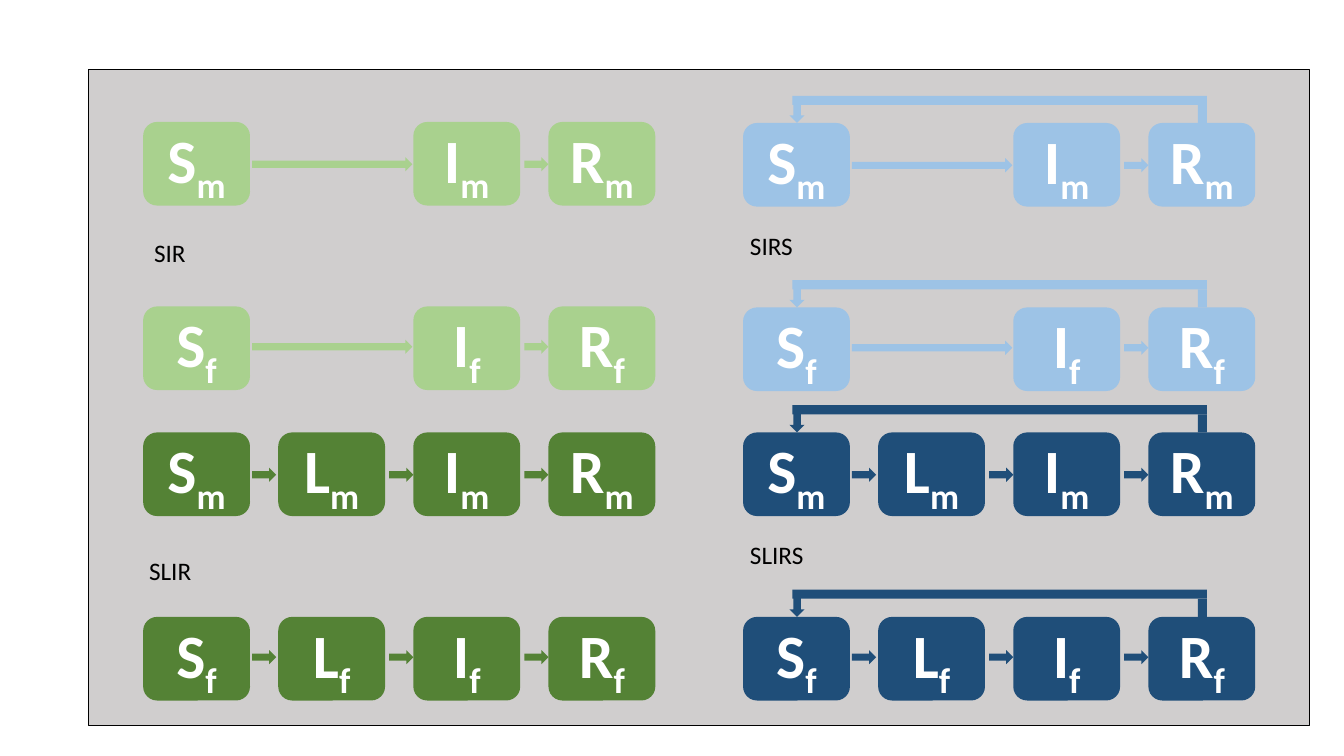
from pptx import Presentation
from pptx.dml.color import RGBColor
from pptx.enum import shapes as s, text as t
from pptx.util import Inches, Pt

GREY = RGBColor(0xD0, 0xCE, 0xCE)
BLACK = RGBColor(0, 0, 0)
WHITE = RGBColor(0xFF, 0xFF, 0xFF)
NAVY = RGBColor(0x1F, 0x4E, 0x79)
SKY = RGBColor(0x9D, 0xC3, 0xE6)
GREEN = RGBColor(0x54, 0x82, 0x35)
LIME = RGBColor(0xA9, 0xD1, 0x8E)

STAGES = "SLIR"
STEP = 1.34  # from one stage to the next
DROP = 1.83  # from the m chain to the f chain
BOX_W, BOX_H = 1.06, 0.83
BAR = 0.09
KIND = s.MSO_SHAPE


def add_block(group, kind, left, top, width, height, fill):
    """Add a filled shape without outline or shadow."""
    block = group.shapes.add_shape(
        kind, Inches(left), Inches(top), Inches(width), Inches(height))
    block.shadow.inherit = False
    block.fill.solid()
    block.fill.fore_color.rgb = fill
    block.line.fill.background()
    return block


def add_run(para, words, size, color, bold=False):
    """Add one run of formatted text."""
    run = para.add_run()
    run.text = words
    run.font.name = "Calibri"
    run.font.size = Pt(size)
    run.font.bold = bold
    run.font.color.rgb = color
    return run


def add_stage(group, name, sub, left, top, fill):
    """Add a rounded box with a letter and its subscript."""
    box = add_block(group, KIND.ROUNDED_RECTANGLE, left, top, BOX_W, BOX_H, fill)
    box.text_frame.vertical_anchor = t.MSO_ANCHOR.MIDDLE
    para = box.text_frame.paragraphs[0]
    para.alignment = t.PP_ALIGN.CENTER
    add_run(para, name, 44, WHITE, True)
    low = add_run(para, sub, 44, WHITE, True)
    low.font._element.set("baseline", "-25000")


def add_loop(group, left, top, fill):
    """Add the path that leads from R back to S."""
    head = add_block(group, KIND.RIGHT_ARROW, left + 0.42, top - 0.19, 0.23, 0.15, fill)
    head.rotation = 90
    add_block(group, KIND.RECTANGLE, left + 0.49, top - 0.27, 4.11, BAR, fill)
    add_block(group, KIND.RECTANGLE, left + 4.51, top - 0.18, BAR, 0.18, fill)


def add_chain(group, names, sub, left, top, rise, fill):
    """Add a row of stages joined by arrows."""
    slots = [STAGES.index(name) for name in names]
    for name, slot in zip(names, slots):
        add_stage(group, name, sub, left + slot * STEP, top, fill)
    for slot, after in zip(slots, slots[1:]):
        gap = 1.1 if slot else 1.08
        width = 0.24 + (after - slot - 1) * 1.35
        add_block(group, KIND.RIGHT_ARROW, left + slot * STEP + gap,
                  top + rise, width, 0.14, fill)


def add_model(group, names, left, top, fill):
    """Add the m and f chains of a model, with loops if it ends in S."""
    loop = names.endswith("RS")
    for row, (sub, rise) in enumerate((("m", 0.35), ("f", 0.33))):
        level = top + row * DROP
        add_chain(group, names[:-1] if loop else names, sub, left, level, rise, fill)
        if loop:
            add_loop(group, left, level, fill)


def add_label(slide, words, left, top, width):
    """Add the name of a model."""
    label = slide.shapes.add_textbox(
        Inches(left), Inches(top), Inches(width), Inches(0.4))
    frame = label.text_frame
    frame.word_wrap = False
    frame.auto_size = t.MSO_AUTO_SIZE.SHAPE_TO_FIT_TEXT
    add_run(frame.paragraphs[0], words, 18, BLACK)


def main():
    """Build the slide with the four models."""
    deck = Presentation()
    deck.slide_width, deck.slide_height = Inches(13.33), Inches(7.5)
    slide = deck.slides.add_slide(deck.slide_layouts[6])
    group = slide.shapes.add_group_shape()
    panel = add_block(group, KIND.RECTANGLE, 0.88, 0.69, 12.11, 6.51, GREY)
    panel.line.color.rgb = BLACK
    panel.line.width = Pt(1)
    models = (
        ("SLIRS", 7.37, 4.29, NAVY, (7.34, 5.3, 0.74)),
        ("SLIR", 1.42, 4.29, GREEN, (1.38, 5.46, 0.62)),
        ("SIRS", 7.37, 1.22, SKY, (7.34, 2.24, 0.63)),
        ("SIR", 1.42, 1.21, LIME, (1.43, 2.31, 0.52)),
    )
    for names, left, top, fill, spot in models:
        add_model(group, names, left, top, fill)
        add_label(slide, names, *spot)
    deck.save("out.pptx")


main()
